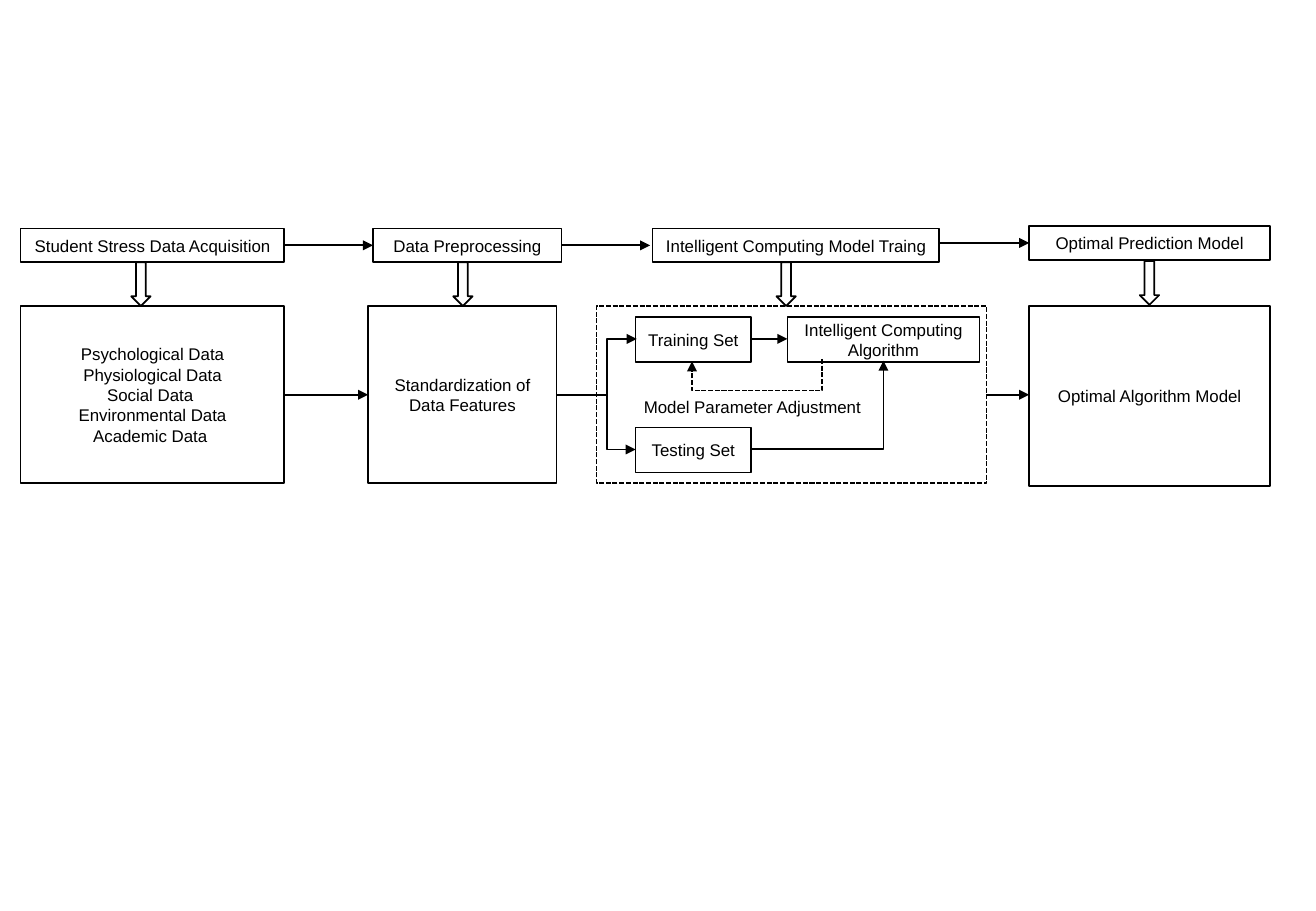
from dataclasses import dataclass

from lxml import etree
from pptx import Presentation
from pptx.dml.color import RGBColor
from pptx.enum.dml import MSO_LINE
from pptx.enum.shapes import MSO_CONNECTOR, MSO_SHAPE
from pptx.enum.text import MSO_ANCHOR, PP_ALIGN
from pptx.oxml.ns import qn
from pptx.util import Inches, Pt

RECT, DOWN = MSO_SHAPE.RECTANGLE, MSO_SHAPE.DOWN_ARROW
LINE, ELBOW = MSO_CONNECTOR.STRAIGHT, MSO_CONNECTOR.ELBOW
DASH = MSO_LINE.SQUARE_DOT
MID, CENTER = MSO_ANCHOR.MIDDLE, PP_ALIGN.CENTER

# Grid: ten columns and ten rows to the inch
COLS, ROWS = 108.3, 75


@dataclass(frozen=True)
class Theme:
    ink: RGBColor = RGBColor(0, 0, 0)
    paper: RGBColor = RGBColor(255, 255, 255)
    face: str = "Arial"
    size: Pt = Pt(10)
    line: Pt = Pt(1)


@dataclass(frozen=True)
class Box:
    col: float
    row: float
    wide: float
    high: float
    text: tuple[str, ...] = ()
    wrap: bool = True
    edge: bool = True
    dash: bool = False


@dataclass(frozen=True)
class Link:
    start: tuple[float, float]
    end: tuple[float, float]
    tip: bool = True


@dataclass(frozen=True)
class Bend:
    col: float
    row: float
    wide: float
    high: float
    form: str
    turn: int = 0
    flip: bool = False
    ratio: float | None = None
    both: bool = False
    dash: bool = False


THEME = Theme()

# Top row of stages
STAGES = [
    Box(1.7, 18.8, 21.7, 2.8, ("Student Stress Data Acquisition",), wrap=False),
    Box(30.7, 18.8, 15.5, 2.8, ("Data Preprocessing",), wrap=False),
    Box(53.7, 18.8, 23.6, 2.8, ("Intelligent Computing Model Traing",), wrap=False),
    Box(84.7, 18.6, 19.8, 2.8, ("Optimal Prediction Model",), wrap=False),
]

# Details under each stage
SOURCES = ("Psychological Data Physiological Data", "Social Data ",
           "Environmental Data", "Academic Data ")
DETAILS = [
    Box(49.1, 25.2, 32.1, 14.6, dash=True),
    Box(1.7, 25.2, 21.7, 14.6, SOURCES),
    Box(30.3, 25.2, 15.5, 14.6, ("Standardization of Data Features",)),
    Box(84.7, 25.2, 19.8, 14.8, ("Optimal Algorithm Model",)),
    Box(52.3, 26.1, 9.5, 3.7, ("Training Set",)),
    Box(52.3, 35.2, 9.5, 3.7, ("Testing Set",)),
    Box(64.8, 26.1, 15.8, 3.7, ("Intelligent Computing Algorithm",)),
    Box(51.5, 32, 20.8, 2.9, ("Model Parameter Adjustment",), edge=False),
]

# Block arrows from stage to detail
DROPS = [Box(col, row, 1.6, 3.6) for col, row in
         ((10.8, 21.6), (37.3, 21.6), (63.9, 21.6), (93.8, 21.5))]

LINKS = [
    Link((23.3, 20.2), (30.7, 20.2)),
    Link((46.2, 20.2), (53.5, 20.2)),
    Link((77.3, 20), (84.7, 20)),
    Link((23.3, 32.5), (30.3, 32.5)),
    Link((45.8, 32.5), (49.9, 32.5), tip=False),
    Link((61.8, 27.9), (64.8, 27.9)),
    Link((81.2, 32.5), (84.7, 32.5)),
]

# Split into sets, feedback loop, test path
BENDS = [
    Bend(52.3, 27.9, 0.1, 9.1, "bentConnector3", 180, True, 25, both=True),
    Bend(62.2, 24.3, 0.2, 10.7, "bentConnector3", 90, False, 13, dash=True),
    Bend(61.8, 29.7, 10.9, 7.3, "bentConnector2", flip=True),
]


def unit(cells: float) -> int:
    return Inches(cells / 10)


def apply(item: object, form: dict[str, object]) -> None:
    for name, value in form.items():
        setattr(item, name, value)


def stroke(item, dash: bool = False) -> None:
    item.line.color.rgb = THEME.ink
    item.line.width = THEME.line
    if dash:
        item.line.dash_style = DASH


def draw_box(shapes, box: Box, kind=RECT) -> None:
    shape = shapes.add_shape(kind, *map(unit, (box.col, box.row, box.wide, box.high)))
    shape.shadow.inherit = False
    if kind == DOWN:
        shape.fill.background()
    else:
        shape.fill.solid()
        shape.fill.fore_color.rgb = THEME.paper
    if box.edge:
        stroke(shape, box.dash)
    else:
        shape.line.fill.background()
    frame = shape.text_frame
    apply(frame, {"word_wrap": box.wrap, "vertical_anchor": MID})
    for i, text in enumerate(box.text):
        para = frame.add_paragraph() if i else frame.paragraphs[0]
        para.alignment = CENTER
        run = para.add_run()
        run.text = text
        apply(run.font, {"name": THEME.face, "size": THEME.size})
        run.font.color.rgb = THEME.ink


def finish(wire, ends: tuple[str, ...], dash: bool = False) -> None:
    stroke(wire, dash)
    line = wire.line._get_or_add_ln()
    for end in ends:
        etree.SubElement(line, qn(f"a:{end}"), type="triangle")
    etree.SubElement(wire._element.spPr, qn("a:effectLst"))


def draw_link(shapes, link: Link) -> None:
    wire = shapes.add_connector(LINE, *map(unit, link.start + link.end))
    finish(wire, ("tailEnd",) if link.tip else ())


def draw_bend(shapes, bend: Bend) -> None:
    ends = (bend.col, bend.row, bend.col + bend.wide, bend.row + bend.high)
    wire = shapes.add_connector(ELBOW, *map(unit, ends))
    props = wire._element.spPr
    place = props.find(qn("a:xfrm"))
    if bend.turn:
        place.set("rot", str(bend.turn * 60000))
    if bend.flip:
        place.set("flipV", "1")
    shape = props.find(qn("a:prstGeom"))
    shape.set("prst", bend.form)
    if bend.ratio is not None:
        guides = shape.find(qn("a:avLst"))
        if guides is None:
            guides = etree.SubElement(shape, qn("a:avLst"))
        etree.SubElement(guides, qn("a:gd"), name="adj1",
                         fmla=f"val {round(bend.ratio * 100000)}")
    finish(wire, ("headEnd", "tailEnd") if bend.both else ("tailEnd",), bend.dash)


def main() -> None:
    deck = Presentation()
    apply(deck, {"slide_width": unit(COLS), "slide_height": unit(ROWS)})
    shapes = deck.slides.add_slide(deck.slide_layouts[6]).shapes
    for box in STAGES + DETAILS:
        draw_box(shapes, box)
    for drop in DROPS:
        draw_box(shapes, drop, DOWN)
    for link in LINKS:
        draw_link(shapes, link)
    for bend in BENDS:
        draw_bend(shapes, bend)
    deck.save("out.pptx")


if __name__ == "__main__":
    main()
